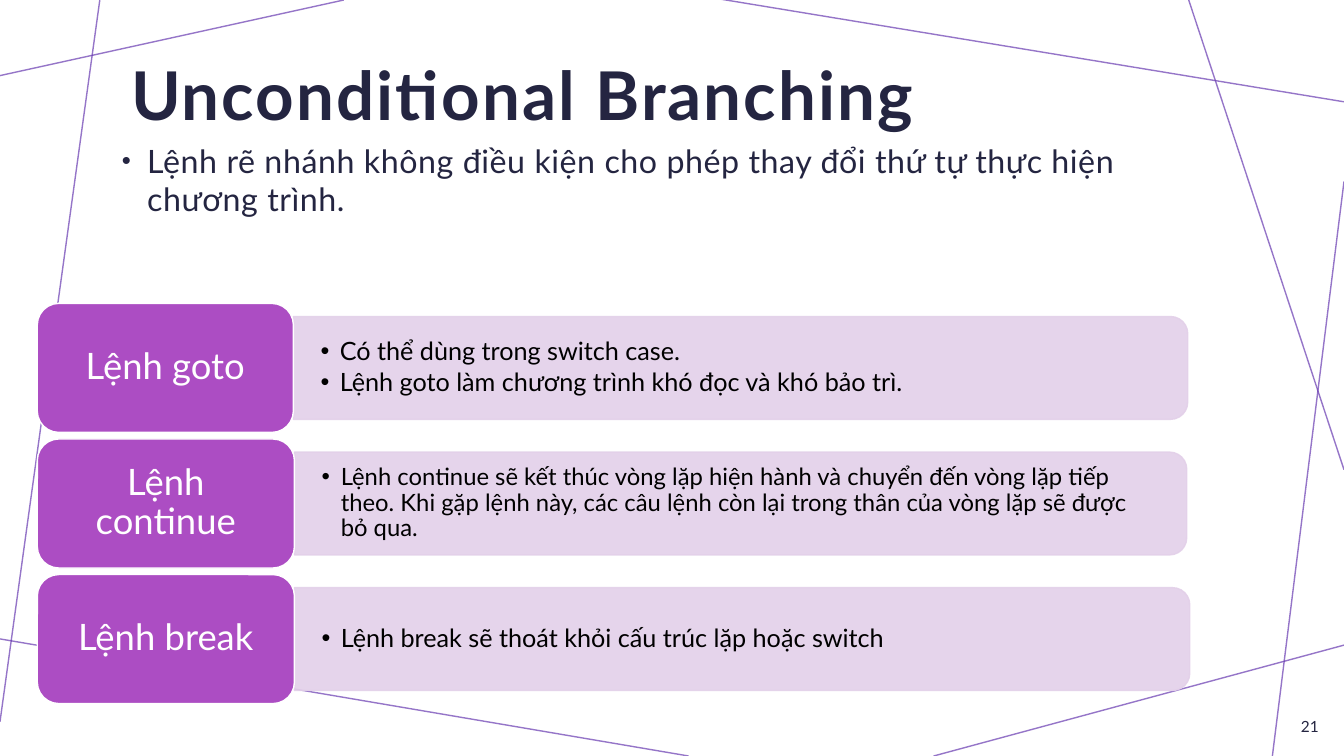
from dataclasses import dataclass

from lxml import etree
from pptx import Presentation
from pptx.dml.color import RGBColor
from pptx.enum import shapes, text
from pptx.oxml import ns
from pptx.util import Inches, Pt


@dataclass(frozen=True)
class Theme:
    font: str = "Lato"
    ink: str = "242541"
    black: str = "000000"
    white: str = "FFFFFF"
    purple: str = "AC4DC3"
    lilac: str = "E3D0E9"
    web: str = "693BB1"
    title: int = 48
    body: int = 23
    label: int = 26
    detail: int = 18
    dense_detail: int = 17
    number: int = 11


THEME = Theme()
MARGINS = (0.12, 0.12, 0.12, 0.1)

WEB_LINES = [
    (3.41, 0, 0, 0.75),
    (0.99, 0, 0, 7.16),
    (6.83, 7.5, -0.05, 6.33),
    (13.33, 6.4, 9.26, 7.5),
    (13.33, 1.8, 12.62, 7.5),
    (13.33, 4.66, 11.79, 0),
    (13.33, 1.01, 7.14, -0.01),
]

# label, details, detail size, label width, panel right edge
COMMANDS = [
    ("Lệnh goto",
     ["Có thể dùng trong switch case.",
      "Lệnh goto làm chương trình khó đọc và khó bảo trì."],
     THEME.detail, 2.54, 11.78),
    ("Lệnh continue",
     ["Lệnh continue sẽ kết thúc vòng lặp hiện hành và chuyển đến vòng lặp "
      "tiếp theo. Khi gặp lệnh này, các câu lệnh còn lại trong thân của vòng "
      "lặp sẽ được bỏ qua."],
     THEME.dense_detail, 2.55, 11.77),
    ("Lệnh break",
     ["Lệnh break sẽ thoát khỏi cấu trúc lặp hoặc switch"],
     THEME.detail, 2.55, 11.8),
]
LABEL_LEFT, LABEL_HEIGHT, PANEL_HEIGHT = 0.37, 1.28, 1.02
FIRST_MIDDLE, ROW_PITCH = 3.65, 1.345


def set_alpha(fill, percent):
    color = fill._xPr.find(".//" + ns.qn("a:srgbClr"))
    etree.SubElement(color, ns.qn("a:alpha"), val=str(percent * 1000))


def paint(s, fill, line, alpha=None):
    s.shadow.inherit = False
    s.line.width = Pt(1)
    for target, color in ((s.fill, fill), (s.line.fill, line)):
        target.solid()
        target.fore_color.rgb = RGBColor.from_string(color)
        if alpha:
            set_alpha(target, alpha)


def set_bullet(p, indent, percent):
    pPr = p._p.get_or_add_pPr()
    pPr.set("marL", str(Inches(indent)))
    pPr.set("indent", str(-Inches(indent)))
    etree.SubElement(pPr, ns.qn("a:buSzPct"), val=str(percent * 1000))
    etree.SubElement(pPr, ns.qn("a:buFont"), typeface="Arial")
    etree.SubElement(pPr, ns.qn("a:buChar"), char="•")


def write(s, lines, *, size, color=THEME.ink, bold=False, tracking=0,
          align=text.PP_ALIGN.LEFT, anchor=text.MSO_ANCHOR.MIDDLE,
          margins=MARGINS, spacing=None, before=0, after=0,
          indent=0, bullet_percent=100):
    """Fill a shape with paragraphs; a nonzero indent gives them bullets."""
    tf = s.text_frame
    tf.word_wrap = True
    tf.vertical_anchor = anchor
    (tf.margin_left, tf.margin_top,
     tf.margin_right, tf.margin_bottom) = map(Inches, margins)
    for i, line in enumerate(lines):
        p = tf.add_paragraph() if i else tf.paragraphs[0]
        p.alignment = align
        p.line_spacing = spacing
        p.space_before, p.space_after = Pt(before), Pt(after)
        if indent:
            set_bullet(p, indent, bullet_percent)
        r = p.add_run()
        r.text = line
        r.font.name, r.font.size, r.font.bold = THEME.font, Pt(size), bold
        r.font.color.rgb = RGBColor.from_string(color)
        if tracking:
            r.font._element.set("spc", str(round(tracking * 100)))


def add_text(slide, box, lines, **style):
    s = slide.shapes.add_textbox(*map(Inches, box))
    write(s, lines, **style)


def add_web_line(slide, ends):
    line = slide.shapes.add_connector(
        shapes.MSO_CONNECTOR.STRAIGHT, *map(Inches, ends))
    line.line.width = Pt(1)
    line.line.color.rgb = RGBColor.from_string(THEME.web)
    set_alpha(line.line.fill, 70)
    etree.SubElement(line._element.spPr, ns.qn("a:effectLst"))


def add_panel(slide, left, right, middle):
    """Add a bar rounded on its right end: a top-rounded shape turned by 90°."""
    length = right - left
    box = ((left + right - PANEL_HEIGHT) / 2, middle - length / 2,
           PANEL_HEIGHT, length)
    s = slide.shapes.add_shape(
        shapes.MSO_SHAPE.ROUND_2_SAME_RECTANGLE, *map(Inches, box))
    s.rotation = 90
    paint(s, THEME.lilac, THEME.lilac, alpha=90)


def add_command(slide, middle, label, details, size, label_width, right):
    left = LABEL_LEFT + label_width
    add_panel(slide, left, right, middle)
    add_text(slide, (left, middle - 0.46, right - left - 0.05, 0.92), details,
             size=size, color=THEME.black, margins=(0.27, 0.14, 0.27, 0.14),
             spacing=0.9, after=3, indent=0.19)
    box = (LABEL_LEFT, middle - LABEL_HEIGHT / 2, label_width, LABEL_HEIGHT)
    s = slide.shapes.add_shape(
        shapes.MSO_SHAPE.ROUNDED_RECTANGLE, *map(Inches, box))
    paint(s, THEME.purple, THEME.white)
    write(s, [label], size=THEME.label, color=THEME.white, spacing=0.9,
          align=text.PP_ALIGN.CENTER, margins=(0.11, 0.05, 0.11, 0.05))


def main():
    prs = Presentation()
    prs.slide_width, prs.slide_height = Inches(13.33), Inches(7.5)
    slide = prs.slides.add_slide(prs.slide_layouts[6])
    for ends in WEB_LINES:
        add_web_line(slide, ends)
    add_text(slide, (1.18, 0.25, 10.83, 1.3), ["Unconditional Branching"],
             size=THEME.title, bold=True, tracking=1.5, spacing=1.05)
    add_text(slide, (1.09, 1.28, 10.83, 1.08),
             ["Lệnh rẽ nhánh không điều kiện cho phép thay đổi thứ tự "
              "thực hiện chương trình."],
             size=THEME.body, tracking=0.4, anchor=text.MSO_ANCHOR.TOP,
             before=10, indent=0.25, bullet_percent=80)
    for i, command in enumerate(COMMANDS):
        add_command(slide, FIRST_MIDDLE + i * ROW_PITCH, *command)
    add_text(slide, (12.69, 7, 0.51, 0.4), ["21"],
             size=THEME.number, align=text.PP_ALIGN.RIGHT)
    prs.save("out.pptx")


if __name__ == "__main__":
    main()
